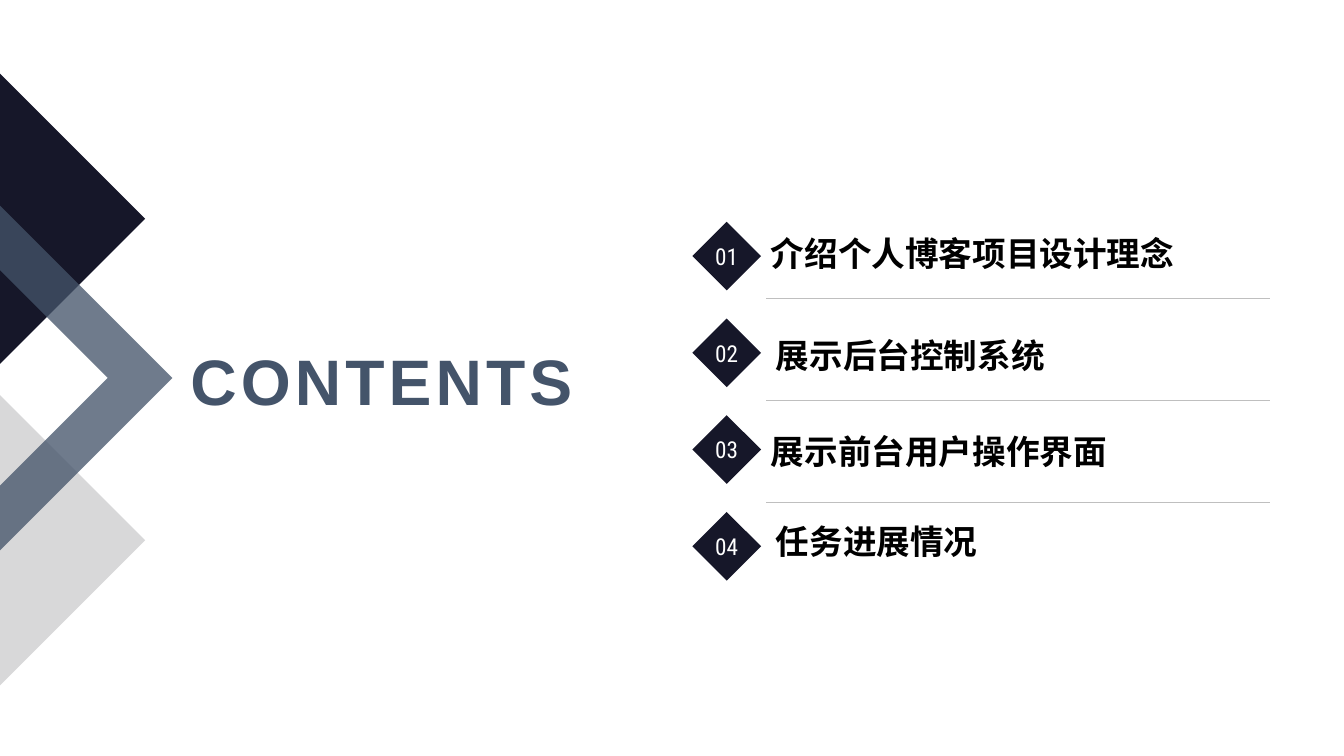
from typing import NamedTuple

from lxml import etree
from pptx import Presentation
from pptx import util as u
from pptx.dml import color
from pptx.enum import shapes, text
from pptx.oxml import ns

NAVY, SLATE, SILVER, RULE = "161729", "44546A", "D8D8D9", "BFBFBF"
BLACK, WHITE = "000000", "FFFFFF"
SIDE = 49            # width of a number diamond
FIRST, STEP = 158.4, 69.1
RULES, GAP = 213.1, 72.7
LEFT, RIGHT = 547.2, 907.2


class Wedge(NamedTuple):
    """A triangle on the left edge; a hole turns it into a chevron."""
    mid: float
    reach: float
    hole: float
    fill: str
    alpha: int


class Topic(NamedTuple):
    label: str
    left: float
    top: float


WEDGES = [
    Wedge(385.9, 103.7, 0, SILVER, 100),
    Wedge(156.2, 103.7, 0, NAVY, 100),
    Wedge(270, 123.1, 77, SLATE, 77),
]
TOPICS = [
    Topic("介绍个人博客项目设计理念", 543.6, 175),
    Topic("展示后台控制系统", 547.2, 247.7),
    Topic("展示前台用户操作界面", 543.6, 316.1),
    Topic("任务进展情况", 547.2, 380.9),
]


def rgb(code: str) -> color.RGBColor:
    return color.RGBColor.from_string(code)


def paint(shape, fill: str) -> None:
    shape.shadow.inherit = False
    shape.fill.solid()
    shape.fill.fore_color.rgb = rgb(fill)
    shape.line.fill.background()


def write(shape, words: str, size: float, font: str, ink: str, bold: bool,
          align, anchor, wrap: bool = False):
    """Set the words of a shape and return their run."""
    frame = shape.text_frame
    frame.text = words
    frame.word_wrap = wrap
    frame.vertical_anchor = anchor
    para = frame.paragraphs[0]
    para.alignment = align
    run = para.runs[0]
    run.font.size = u.Pt(size)
    run.font.name = font
    run.font.bold = bold
    run.font.color.rgb = rgb(ink)
    return run


def draw_wedge(slide, wedge: Wedge) -> None:
    mid, reach, hole = wedge.mid, wedge.reach, wedge.hole
    points = [(0, mid - reach), (reach, mid), (0, mid + reach)]
    if hole:
        points += [(0, mid + hole), (hole, mid), (0, mid - hole)]
    spots = [(u.Pt(x), u.Pt(y)) for x, y in points]
    path = slide.shapes.build_freeform(*spots[0])
    path.add_line_segments(spots[1:], close=True)
    shape = path.convert_to_shape()
    paint(shape, wedge.fill)
    if wedge.alpha < 100:
        tint = shape.fill._xPr.find(".//" + ns.qn("a:srgbClr"))
        etree.SubElement(tint, ns.qn("a:alpha"), val=str(wedge.alpha * 1000))


def draw_title(slide) -> None:
    box = slide.shapes.add_textbox(u.Pt(121.7), u.Pt(234.7), u.Pt(294.5), u.Pt(72.7))
    run = write(box, "CONTENTS", 45.9, "Arial", SLATE, True,
                text.PP_ALIGN.RIGHT, text.MSO_ANCHOR.MIDDLE, wrap=True)
    run.font._element.set("spc", "300")


def draw_topic(slide, index: int, topic: Topic) -> None:
    badge = slide.shapes.add_shape(
        shapes.MSO_SHAPE.DIAMOND, u.Pt(494.6), u.Pt(FIRST + index * STEP),
        u.Pt(SIDE), u.Pt(SIDE))
    paint(badge, NAVY)
    write(badge, f"{index + 1:02}", 16.6, "Roboto Condensed", WHITE, False,
          text.PP_ALIGN.CENTER, text.MSO_ANCHOR.MIDDLE)
    box = slide.shapes.add_textbox(
        u.Pt(topic.left), u.Pt(topic.top), u.Pt(311.8), u.Pt(23.8))
    write(box, topic.label, 24, "Arial", BLACK, True,
          text.PP_ALIGN.LEFT, text.MSO_ANCHOR.BOTTOM)


def draw_rule(slide, top: float) -> None:
    line = slide.shapes.add_connector(
        shapes.MSO_CONNECTOR.STRAIGHT, u.Pt(LEFT), u.Pt(top), u.Pt(RIGHT), u.Pt(top))
    line.line.color.rgb = rgb(RULE)
    line.line.width = u.Pt(0.25)
    etree.SubElement(line._element.spPr, ns.qn("a:effectLst"))


def main() -> None:
    deck = Presentation()
    deck.slide_width, deck.slide_height = u.Pt(960), u.Pt(540)
    slide = deck.slides.add_slide(deck.slide_layouts[6])
    for wedge in WEDGES:
        draw_wedge(slide, wedge)
    draw_title(slide)
    for index, topic in enumerate(TOPICS):
        draw_topic(slide, index, topic)
    for index in range(len(TOPICS) - 1):
        draw_rule(slide, RULES + index * GAP)
    deck.save("out.pptx")


if __name__ == "__main__":
    main()
